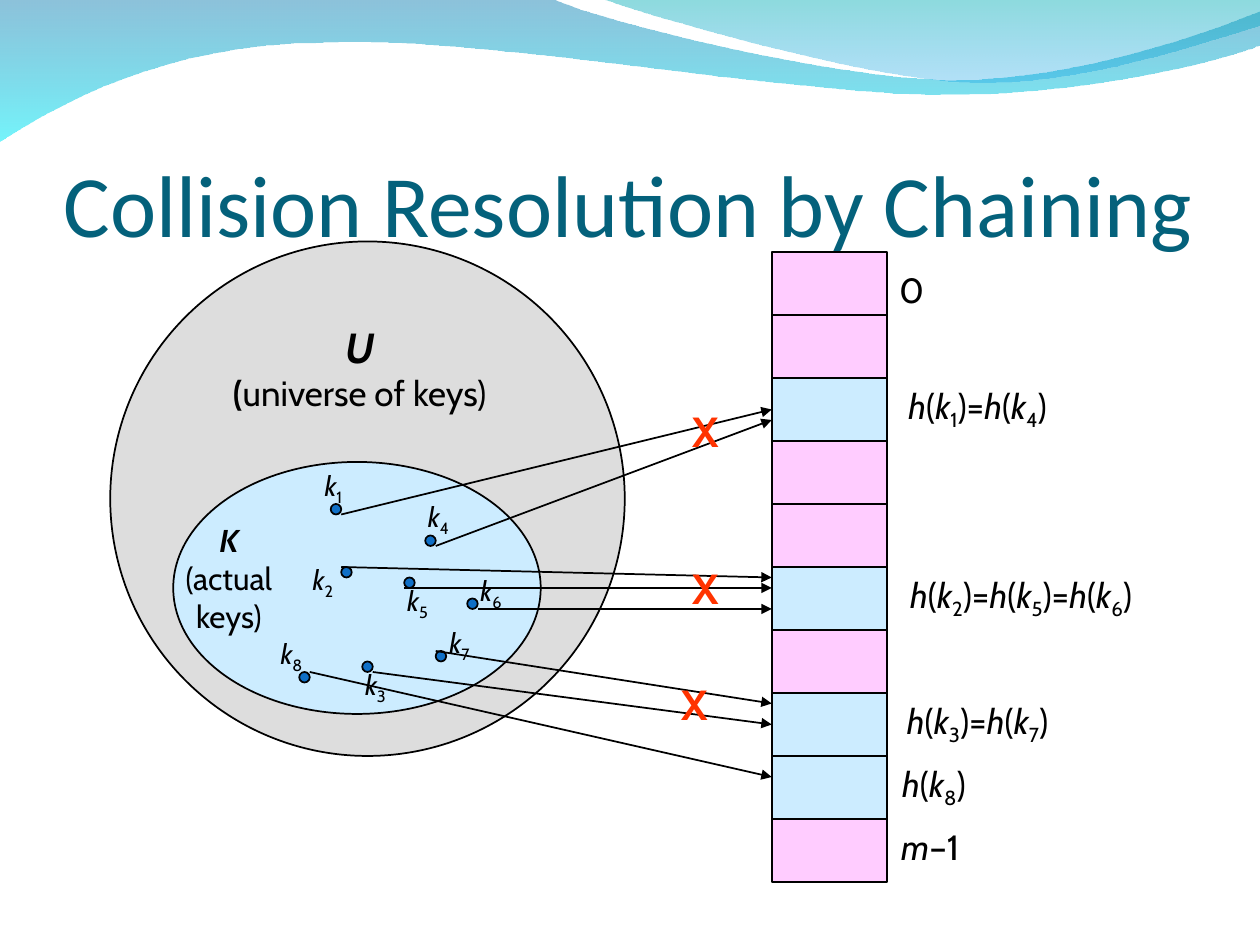
import itertools
from dataclasses import dataclass

import lxml.etree
import pptx
import pptx.dml.color
import pptx.enum.shapes
import pptx.enum.text
import pptx.oxml
import pptx.oxml.ns
import pptx.util

GRID = 2.54 / 12  # centimetres; every position below counts these units
qn = pptx.oxml.ns.qn
SHAPE = pptx.enum.shapes.MSO_SHAPE
ANCHOR = pptx.enum.text.MSO_ANCHOR
ALIGN = pptx.enum.text.PP_ALIGN


@dataclass(frozen=True)
class Theme:
    title_font: str = "Calibri"
    body_font: str = "Cabin"
    title_size: int = 50
    large: int = 24
    label: int = 20
    actual: int = 18
    key: int = 16
    line_width: int = 1
    ink: str = "000000"
    title: str = "04617B"
    empty_slot: str = "FFCCFF"
    used: str = "CCECFF"
    universe: str = "DDDDDD"
    dot: str = "0F6FC6"
    cross: str = "FF3300"
    # colour and opacity in percent, top to bottom
    back_wave: tuple = (("0079AF", 45), ("00EBF8", 55))
    front_wave: tuple = (("00ADB6", 45), ("009BE5", 30))


THEME = Theme()


def units(value):
    return pptx.util.Cm(value * GRID)


def rgb(value):
    return pptx.dml.color.RGBColor.from_string(value)


def math_runs(text):
    """Split a formula into runs: letters italic, a digit after k lowered."""
    def kind(index):
        if text[index].isdigit() and text[index - 1] == "k":
            return "sub"
        return "italic" if text[index].isalpha() else "plain"

    formats = {"sub": {"baseline": -25}, "italic": {"italic": True}, "plain": {}}
    return [("".join(text[i] for i in group), formats[name])
            for name, group in itertools.groupby(range(len(text)), key=kind)]


def add_run(paragraph, text, size, color=THEME.ink, font=THEME.body_font,
            bold=False, italic=False, baseline=0):
    run = paragraph.add_run()
    run.text = text
    run.font.size = pptx.util.Pt(size)
    run.font.name = font
    run.font.color.rgb = rgb(color)
    run.font.bold = bold
    run.font.italic = italic
    if baseline:
        run._r.get_or_add_rPr().set("baseline", str(baseline * 1000))


def bend(shape, segments):
    """Turn each straight segment that has control points into a cubic curve."""
    straight = list(shape.element.spPr.iter(qn("a:lnTo")))
    for line, (*controls, _) in zip(straight, segments):
        if controls:
            curve = lxml.etree.Element(qn("a:cubicBezTo"))
            for x, y in controls:
                lxml.etree.SubElement(curve, qn("a:pt"), x=str(units(x) - shape.left),
                                      y=str(units(y) - shape.top))
            line.getparent().replace(line, curve)
            curve.append(line[0])


class Painter:
    def __init__(self, slide, theme):
        self.slide = slide
        self.theme = theme

    def outline(self, line):
        line.color.rgb = rgb(self.theme.ink)
        line.width = pptx.util.Pt(self.theme.line_width)

    def shape(self, preset, left, top, width, height, fill):
        shape = self.slide.shapes.add_shape(preset, *map(units, (left, top, width, height)))
        shape.shadow.inherit = False
        shape.fill.solid()
        shape.fill.fore_color.rgb = rgb(fill)
        self.outline(shape.line)
        return shape

    def text(self, left, top, width, height, lines, **style):
        """Each line is a list of (text, format) runs; style applies to all."""
        box = self.slide.shapes.add_textbox(*map(units, (left, top, width, height)))
        frame = box.text_frame
        frame.word_wrap = False
        frame.auto_size = pptx.enum.text.MSO_AUTO_SIZE.SHAPE_TO_FIT_TEXT
        for index, line in enumerate(lines):
            paragraph = frame.add_paragraph() if index else frame.paragraphs[0]
            paragraph.alignment = ALIGN.CENTER
            for content, override in line:
                add_run(paragraph, content, **{**style, **override})
        return frame

    def title(self, text):
        frame = self.text(6.05, 9.3, 108, 15, [[(text, {})]], size=self.theme.title_size,
                          color=self.theme.title, font=self.theme.title_font)
        frame.auto_size = pptx.enum.text.MSO_AUTO_SIZE.NONE
        frame.word_wrap = True
        frame.vertical_anchor = ANCHOR.BOTTOM
        frame.margin_left = frame.margin_right = frame.margin_bottom = 0
        frame.paragraphs[0].alignment = ALIGN.LEFT

    def line(self, start, end, arrow=False):
        connector = self.slide.shapes.add_connector(
            pptx.enum.shapes.MSO_CONNECTOR.STRAIGHT, *map(units, (*start, *end)))
        self.outline(connector.line)
        if arrow:
            lxml.etree.SubElement(connector.line._get_or_add_ln(), qn("a:tailEnd"),
                                  type="triangle")
        lxml.etree.SubElement(connector.element.spPr, qn("a:effectLst"))
        return connector

    def wave(self, start, segments, colors):
        """A segment is its end point, after two control points if it curves."""
        builder = self.slide.shapes.build_freeform(*map(units, start))
        builder.add_line_segments([tuple(map(units, segment[-1])) for segment in segments],
                                  close=True)
        shape = builder.convert_to_shape()
        bend(shape, segments)
        shape.shadow.inherit = False
        shape.line.fill.background()
        shape.fill.gradient()
        shape.fill.gradient_angle = 270
        for stop, (color, _) in zip(shape.fill.gradient_stops, colors):
            stop.color.rgb = rgb(color)
        elements = shape.element.spPr.iter(qn("a:srgbClr"))
        for element, (_, opacity) in zip(elements, colors):
            lxml.etree.SubElement(element, qn("a:alpha"), val=str(opacity * 1000))


TABLE_LEFT, TABLE_TOP, SLOT_WIDTH, SLOT_HEIGHT, SLOTS = 73.5, 24, 11, 6, 10
USED_SLOTS = (2, 5, 7, 8)
# left, top, width, text
SLOT_LABELS = [(84.45, 25, 4.3, "0"), (84.15, 78, 8.9, "m–1"),
               (84.3, 36, 17.6, "h(k1)=h(k4)"), (84.1, 54, 26.3, "h(k2)=h(k5)=h(k6)"),
               (84.3, 66, 17.6, "h(k3)=h(k7)"), (84.4, 72, 9.1, "h(k8)")]
# key: dot position, label position, arrow start relative to dot, arrow end height, slot
KEYS = {
    "k1": ((31.5, 48), (29.5, 44), (1, 1), 39, 2),
    "k4": ((40.5, 51), (39.5, 47), (1, 1), 40, 2),
    "k2": ((32.5, 54), (28.5, 53), (0, 0), 55, 5),
    "k5": ((38.5, 55), (37.5, 55), (0, 1), 56, 5),
    "k6": ((44.5, 57), (44.5, 54), (1, 1), 58, 5),
    "k7": ((41.5, 62), (41.5, 59), (0, 0), 67, 7),
    "k3": ((34.5, 63), (33.5, 63), (1, 1), 69, 7),
    "k8": ((28.5, 64), (25.5, 60), (1, 0), 74, 8),
}
CROSSES = [(64.7, 38), (64.7, 53), (63.65, 64)]


def draw_waves(painter):
    painter.wave((0, 0), [
        [(52.8, 0)],
        [(57.1, 2), (79.7, 7.6), (91, 7.6)],
        [(102.4, 7.6), (115, 3.1), (120, 1.1)],
        [(120, 4.3)],
        [(118, 5.3), (104.4, 9.1), (89.5, 9)],
        [(74.6, 9), (45.8, 3.4), (30.8, 4.1)],
        [(15.5, 4.2), (5.5, 10), (0, 13.5)],
    ], THEME.back_wave)
    painter.wave((57.5, 0), [
        [(61.1, 1.3), (81.8, 7.4), (92.3, 7.8)],
        [(102.7, 8.3), (115.3, 3.8), (120, 2.5)],
        [(120, 0)],
    ], THEME.front_wave)


def draw_table(painter):
    """Draw the hash table and return its used slots by number."""
    table = painter.shape(SHAPE.RECTANGLE, TABLE_LEFT, TABLE_TOP, SLOT_WIDTH,
                          SLOTS * SLOT_HEIGHT, THEME.empty_slot)
    for row in range(1, SLOTS):
        y = TABLE_TOP + row * SLOT_HEIGHT
        divider = painter.line((TABLE_LEFT, y), (TABLE_LEFT + SLOT_WIDTH, y))
        if row * 2 == SLOTS:
            divider.begin_connect(table, 1)
            divider.end_connect(table, 3)
    for left, top, width, label in SLOT_LABELS:
        painter.text(left, top, width, 5.5, [math_runs(label)], size=THEME.label)
    return {row: painter.shape(SHAPE.RECTANGLE, TABLE_LEFT, TABLE_TOP + row * SLOT_HEIGHT,
                               SLOT_WIDTH, SLOT_HEIGHT, THEME.used)
            for row in USED_SLOTS}


def draw_keys(painter, slots):
    painter.shape(SHAPE.OVAL, 10.5, 23, 49, 49, THEME.universe)
    painter.shape(SHAPE.OVAL, 16.5, 44, 35, 24, THEME.used)
    heading = {"bold": True, "italic": True}
    painter.text(19.35, 30, 29.8, 10, [
        [("U", {**heading, "size": THEME.large})],
        [("(", {"bold": True}), ("universe of keys)", {})]], size=THEME.label)
    painter.text(15.9, 49.05, 11.8, 12, [[("K", heading)], [("(actual", {})], [("keys)", {})]],
                 size=THEME.actual)
    for key, (dot, label, *_) in KEYS.items():
        painter.shape(SHAPE.OVAL, *dot, 1, 1, THEME.dot)
        painter.text(*label, 4.5, 4.9, [math_runs(key)], size=THEME.key)
    for (x, y), _, (dx, dy), end, row in KEYS.values():
        arrow = painter.line((x + dx, y + dy), (TABLE_LEFT, end), arrow=True)
        if end == TABLE_TOP + (row + 0.5) * SLOT_HEIGHT:
            arrow.end_connect(slots[row], 1)
    for left, top in CROSSES:
        painter.text(left, top, 5, 6, [[("X", {})]], size=THEME.large,
                     color=THEME.cross, bold=True)


def main():
    presentation = pptx.Presentation()
    presentation.slide_width, presentation.slide_height = units(120), units(90)
    painter = Painter(presentation.slides.add_slide(presentation.slide_layouts[6]), THEME)
    draw_waves(painter)
    painter.title("Collision Resolution by Chaining")
    draw_keys(painter, draw_table(painter))
    presentation.save("out.pptx")


if __name__ == "__main__":
    main()
